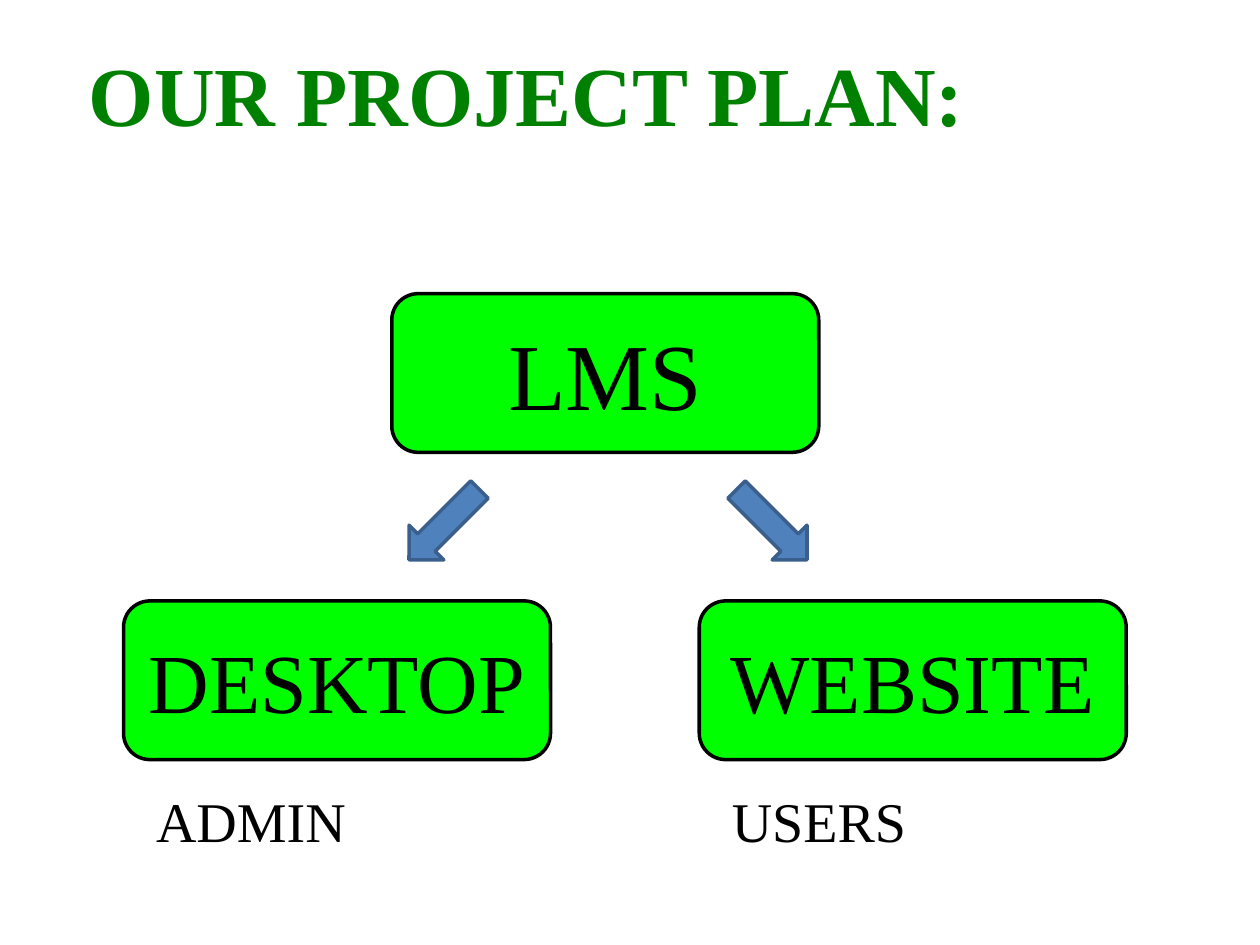
import dataclasses

import pptx
import pptx.dml.color
import pptx.enum.shapes
import pptx.enum.text
import pptx.util

Pt = pptx.util.Pt
Color = pptx.dml.color.RGBColor
Shapes = pptx.enum.shapes.MSO_SHAPE
Anchor = pptx.enum.text.MSO_ANCHOR
Align = pptx.enum.text.PP_ALIGN


@dataclasses.dataclass(frozen=True)
class Theme:
    font: str = "Times New Roman"
    title: Color = Color(0x00, 0x80, 0x00)
    text: Color = Color(0x00, 0x00, 0x00)
    box: Color = Color(0x00, 0xFF, 0x00)
    arrow: Color = Color(0x4F, 0x81, 0xBD)
    arrow_line: Color = Color(0x3A, 0x5F, 0x8C)
    line_width: float = 2
    title_size: int = 48
    root_size: int = 54
    branch_size: int = 48
    label_size: int = 32


@dataclasses.dataclass(frozen=True)
class Box:
    text: str
    left: float
    top: float
    size: int
    label: str = ""


@dataclasses.dataclass(frozen=True)
class Arrow:
    left: float
    rotation: float


THEME = Theme()
BOX_WIDTH, BOX_HEIGHT = 244, 90.7
BRANCH_TOP = 343.4
ARROW_TOP, ARROW_WIDTH, ARROW_HEIGHT = 271.4, 28.1, 56.9
LABEL_INDENT, LABEL_TOP, LABEL_WIDTH, LABEL_HEIGHT = 11.5, 445.7, 221, 46

BOXES = [
    Box("LMS", 223.9, 167.8, THEME.root_size),
    Box("WEBSITE", 399.6, BRANCH_TOP, THEME.branch_size, "USERS"),
    Box("DESKTOP", 70.6, BRANCH_TOP, THEME.branch_size, "ADMIN"),
]
ARROWS = [Arrow(427, 315), Arrow(239.8, 45)]


def write_text(shape, text: str, size: int, color: Color, align: Align,
               anchor: Anchor, bold: bool = False) -> None:
    frame = shape.text_frame
    frame.word_wrap = True
    frame.vertical_anchor = anchor
    paragraph = frame.paragraphs[0]
    paragraph.alignment = align
    run = paragraph.add_run()
    run.text = text
    formats = {"name": THEME.font, "size": Pt(size), "bold": bold}
    for name, value in formats.items():
        setattr(run.font, name, value)
    run.font.color.rgb = color


def add_outlined_shape(slide, kind: Shapes, left: float, top: float,
                       width: float, height: float, fill: Color, line: Color):
    shape = slide.shapes.add_shape(kind, Pt(left), Pt(top), Pt(width), Pt(height))
    shape.shadow.inherit = False
    shape.fill.solid()
    shape.fill.fore_color.rgb = fill
    shape.line.color.rgb = line
    shape.line.width = Pt(THEME.line_width)
    return shape


def add_title(slide, text: str) -> None:
    title = slide.shapes.title
    position = {"left": 9.4, "top": 20.9, "width": 583.2, "height": 65.5}
    for name, value in position.items():
        setattr(title, name, Pt(value))
    write_text(title, text, THEME.title_size, THEME.title, Align.CENTER,
               Anchor.TOP, bold=True)


def add_box(slide, box: Box) -> None:
    shape = add_outlined_shape(slide, Shapes.ROUNDED_RECTANGLE, box.left, box.top,
                               BOX_WIDTH, BOX_HEIGHT, THEME.box, THEME.text)
    write_text(shape, box.text, box.size, THEME.text, Align.CENTER, Anchor.MIDDLE)


def add_arrow(slide, arrow: Arrow) -> None:
    shape = add_outlined_shape(slide, Shapes.DOWN_ARROW, arrow.left, ARROW_TOP,
                               ARROW_WIDTH, ARROW_HEIGHT, THEME.arrow,
                               THEME.arrow_line)
    shape.rotation = arrow.rotation


def add_label(slide, box: Box) -> None:
    label = slide.shapes.add_textbox(Pt(box.left + LABEL_INDENT), Pt(LABEL_TOP),
                                     Pt(LABEL_WIDTH), Pt(LABEL_HEIGHT))
    write_text(label, box.label, THEME.label_size, THEME.text, Align.LEFT, Anchor.TOP)


def main() -> None:
    presentation = pptx.Presentation()
    presentation.slide_width, presentation.slide_height = Pt(720), Pt(540)
    title_only = presentation.slide_layouts[5]
    slide = presentation.slides.add_slide(title_only)

    # Heading
    add_title(slide, "OUR PROJECT PLAN:")

    # System and its two branches
    for box in BOXES:
        add_box(slide, box)
    for arrow in ARROWS:
        add_arrow(slide, arrow)

    # Who uses each branch
    for box in reversed(BOXES):
        if box.label:
            add_label(slide, box)

    presentation.save("out.pptx")


if __name__ == "__main__":
    main()
